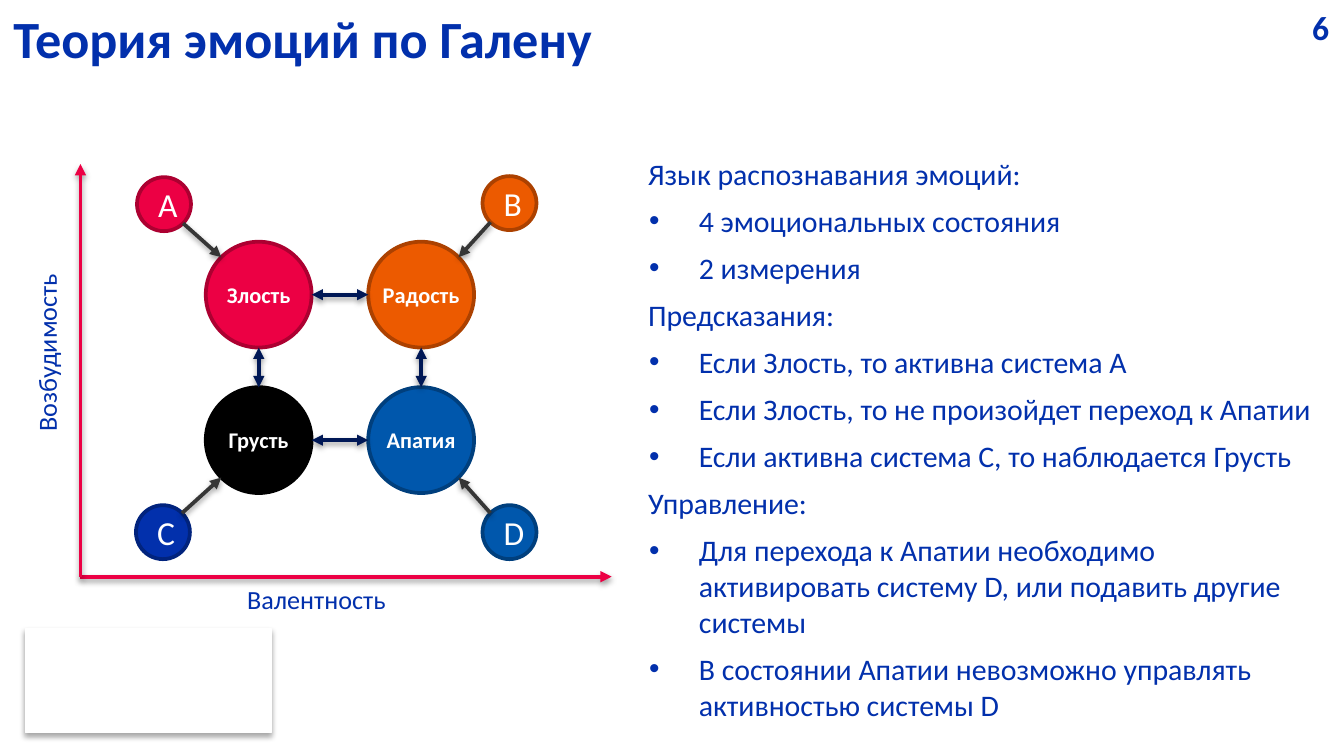
from dataclasses import dataclass
from math import copysign, sqrt

from lxml import etree
from pptx import Presentation
from pptx.dml.color import RGBColor
from pptx.enum import shapes as es, text as et
from pptx.oxml import ns
from pptx.util import Cm, Pt

BLUE, RED, NAVY, GREY, WHITE = "0230AC", "EC0044", "001856", "363636", "FFFFFF"
LEFT, MID, RIGHT = et.PP_ALIGN.LEFT, et.PP_ALIGN.CENTER, et.PP_ALIGN.RIGHT
BIG, SMALL = 1.0, 0.51  # circle radii, cm


@dataclass
class Node:
    name: str
    x: float
    y: float
    fill: str
    edge: str


@dataclass
class Line:
    text: str
    point: bool = True


COLS, ROWS = (4.89, 7.96), (5.57, 8.32)
STATES = [
    Node("Злость", COLS[0], ROWS[0], RED, "AC0031"),
    Node("Грусть", COLS[0], ROWS[1], "000000", "000000"),
    Node("Радость", COLS[1], ROWS[0], "EC5A00", "AC4100"),
    Node("Апатия", COLS[1], ROWS[1], "0057AC", "003F7D"),
]
SYSTEMS = [
    Node("А", 3.1, 3.86, RED, "AC0031"),
    Node("C", 3.08, 10.06, BLUE, "01237D"),
    Node("B", 9.63, 3.84, "EC5A00", "AC4100"),
    Node("D", 9.63, 10.06, "0057AC", "003F7D"),
]
NOTES = [
    Line("Язык распознавания эмоций:", False),
    Line("4 эмоциональных состояния"),
    Line("2 измерения"),
    Line("Предсказания:", False),
    Line("Если Злость, то активна система A"),
    Line("Если Злость, то не произойдет переход к Апатии"),
    Line("Если активна система C, то наблюдается Грусть"),
    Line("Управление:", False),
    Line("Для перехода к Апатии необходимо активировать систему D, "
         "или подавить другие системы"),
    Line("В состоянии Апатии невозможно управлять активностью системы D"),
]


def color(code: str) -> RGBColor:
    return RGBColor.from_string(code)


def add_sub(node, tag: str, **attrs):
    return etree.SubElement(node, ns.qn(tag), attrs)


def shade(shape, alpha: int, dist: float) -> None:
    """Give the shape a soft shadow that falls straight down."""
    fx = add_sub(shape._element.spPr, "a:effectLst")
    drop = add_sub(fx, "a:outerShdw", blurRad=str(Pt(3.1)), dist=str(Pt(dist)),
                   dir="5400000", rotWithShape="0")
    tint = add_sub(drop, "a:srgbClr", val="000000")
    add_sub(tint, "a:alpha", val=str(alpha * 1000))


def style(par, size: float, code: str, bold: bool = False, align=LEFT) -> None:
    par.alignment = align
    for run in par.runs:
        font = run.font
        font.name, font.size, font.bold = "Calibri", Pt(size), bold
        font.color.rgb = color(code)


def add_label(slide, text: str, x: float, y: float, w: float, h: float,
              size: float, code: str = BLUE, bold: bool = False, align=LEFT):
    box = slide.shapes.add_textbox(Cm(x), Cm(y), Cm(w), Cm(h))
    box.text_frame.text = text
    box.text_frame.word_wrap = False
    style(box.text_frame.paragraphs[0], size, code, bold, align)
    return box


def add_shape(slide, kind, x: float, y: float, w: float, h: float,
              fill: str, edge: str, width: float):
    shape = slide.shapes.add_shape(kind, Cm(x), Cm(y), Cm(w), Cm(h))
    shape.fill.solid()
    shape.fill.fore_color.rgb = color(fill)
    shape.line.color.rgb = color(edge)
    shape.line.width = Pt(width)
    return shape


def add_disc(slide, node: Node, rad: float):
    disc = add_shape(slide, es.MSO_SHAPE.OVAL, node.x - rad, node.y - rad,
                     2 * rad, 2 * rad, node.fill, node.edge, 2)
    disc.shadow.inherit = False
    return disc


def add_arrow(slide, x1: float, y1: float, x2: float, y2: float,
              code: str, both: bool = False) -> None:
    arrow = slide.shapes.add_connector(
        es.MSO_CONNECTOR.STRAIGHT, Cm(x1), Cm(y1), Cm(x2), Cm(y2))
    arrow.line.color.rgb = color(code)
    arrow.line.width = Pt(2)
    line = arrow.line._get_or_add_ln()
    if both:
        add_sub(line, "a:headEnd", type="triangle")
    add_sub(line, "a:tailEnd", type="triangle")
    shade(arrow, 38, 1.6)


def add_feed(slide, src: Node, dst: Node) -> None:
    """Point from a system to its state, between the 45-degree rim points."""
    dx = copysign(1 / sqrt(2), dst.x - src.x)
    dy = copysign(1 / sqrt(2), dst.y - src.y)
    add_arrow(slide, src.x + SMALL * dx, src.y + SMALL * dy,
              dst.x - BIG * dx, dst.y - BIG * dy, GREY)


def add_notes(slide) -> None:
    box = slide.shapes.add_textbox(Cm(12), Cm(2.82), Cm(13.4), Cm(11.18))
    frame = box.text_frame
    frame.word_wrap = True
    for i, item in enumerate(NOTES):
        par = frame.add_paragraph() if i else frame.paragraphs[0]
        par.text = item.text
        if item.point:
            props = par._p.get_or_add_pPr()
            props.set("marL", str(Cm(0.96)))
            props.set("indent", str(Cm(-0.94)))
            add_sub(add_sub(props, "a:buClr"), "a:srgbClr", val=BLUE)
            add_sub(props, "a:buFont", typeface="Arial")
            add_sub(props, "a:buChar", char="•")
        if i:
            par.space_before = Pt(6)
        style(par, 16, BLUE)


def main() -> None:
    deck = Presentation()
    deck.slide_width, deck.slide_height = Cm(25.4), Cm(14.29)
    slide = deck.slides.add_slide(deck.slide_layouts[5])

    panel = add_shape(slide, es.MSO_SHAPE.RECTANGLE, 0.48, 11.89, 4.65, 1.96,
                      WHITE, WHITE, 0.75)
    shade(panel, 35, 1.8)

    title = slide.shapes.title
    title.left, title.top = Cm(0), Cm(0)
    title.width, title.height = Cm(18.52), Cm(1.35)
    frame = title.text_frame
    frame.text = "Теория эмоций по Галену"
    frame.auto_size = et.MSO_AUTO_SIZE.NONE
    frame.vertical_anchor = et.MSO_ANCHOR.TOP
    style(frame.paragraphs[0], 28, BLUE, True)
    add_label(slide, "6", 23.9, 0, 1.47, 1.02, 18, bold=True, align=RIGHT)

    add_arrow(slide, 1.52, 10.9, 11.56, 10.9, RED)
    add_arrow(slide, 1.52, 10.9, 1.52, 3.1, RED)
    axis = add_label(slide, "Возбудимость", -0.89, 6.22, 3.53, 0.84, 14)
    axis.rotation = 270
    add_label(slide, "Валентность", 4.42, 10.9, 3.53, 0.84, 14)

    for state in STATES:
        add_disc(slide, state, BIG)
        add_label(slide, state.name, state.x - BIG, state.y - 0.38,
                  2 * BIG, 0.76, 12, WHITE, True, MID)
    for node, state in zip(SYSTEMS, STATES):
        disc = add_disc(slide, node, SMALL)
        disc.text_frame.text = node.name
        disc.text_frame.vertical_anchor = et.MSO_ANCHOR.MIDDLE
        style(disc.text_frame.paragraphs[0], 18, WHITE, align=MID)
        add_feed(slide, node, state)

    add_notes(slide)
    for y in ROWS:
        add_arrow(slide, COLS[0] + BIG, y, COLS[1] - BIG, y, NAVY, True)
    for x in COLS:
        add_arrow(slide, x, ROWS[0] + BIG, x, ROWS[1] - BIG, NAVY, True)

    deck.save("out.pptx")


if __name__ == "__main__":
    main()
